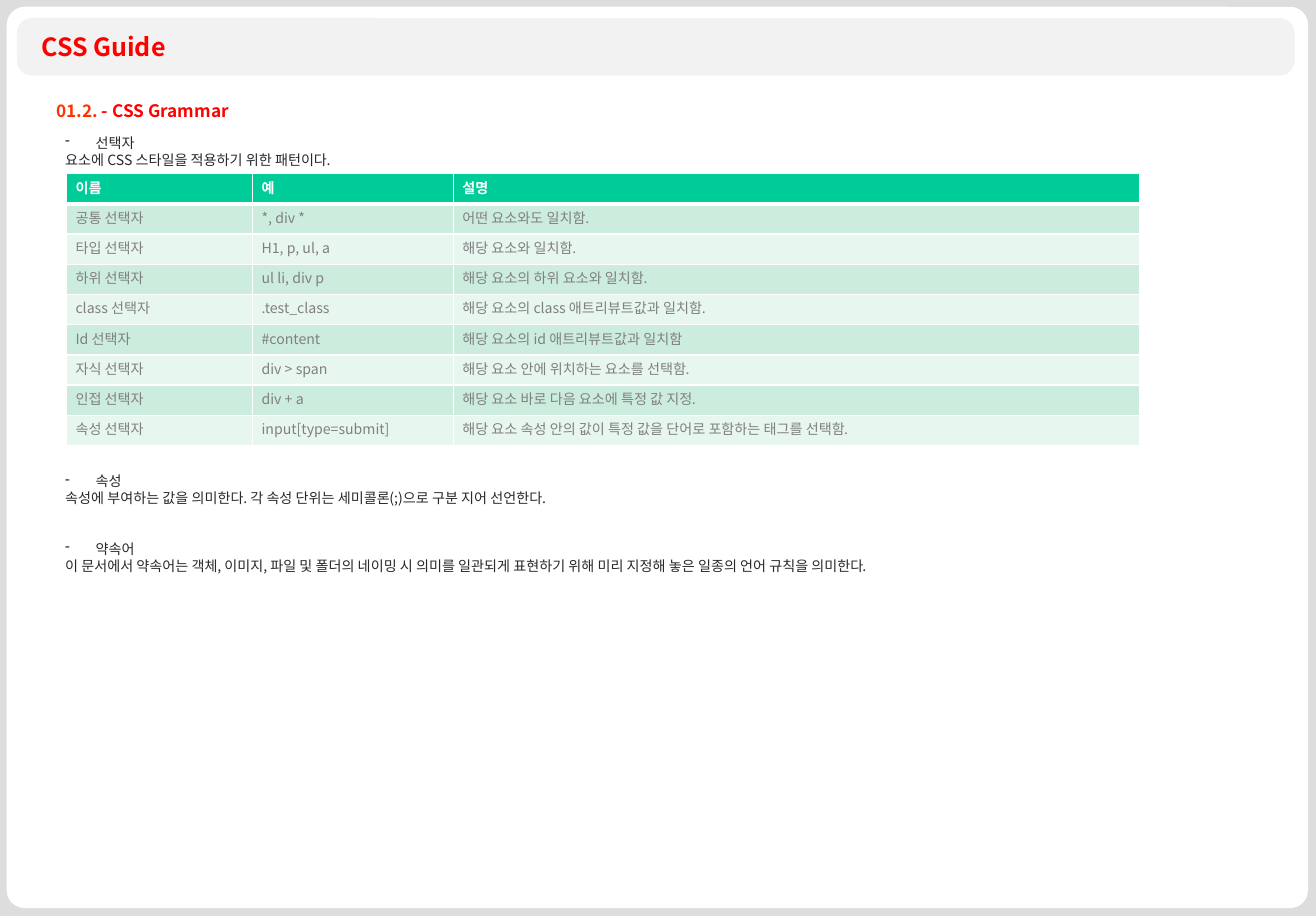
from pptx import Presentation
from pptx.dml.color import RGBColor
from pptx.enum.shapes import MSO_SHAPE
from pptx.enum.text import MSO_ANCHOR
from pptx.oxml.ns import qn
from pptx.util import Inches, Pt
from lxml import etree

RECT = MSO_SHAPE.RECTANGLE
ROUND = MSO_SHAPE.ROUNDED_RECTANGLE
MIDDLE = MSO_ANCHOR.MIDDLE

TITLE = "CSS Guide"
HEADING = ("01.2.", " - CSS Grammar")
NOTES = [
    ("선택자", "요소에 CSS 스타일을 적용하기 위한 패턴이다.", 0),
    ("속성", "속성에 부여하는 값을 의미한다. 각 속성 단위는 세미콜론(;)으로 구분 지어 선언한다.", 18),
    ("약속어", "이 문서에서 약속어는 객체, 이미지, 파일 및 폴더의 네이밍 시 의미를 일관되게 "
     "표현하기 위해 미리 지정해 놓은 일종의 언어 규칙을 의미한다.", 2),
]
ROWS = [
    ("이름", "예", "설명"),
    ("공통 선택자", "*, div *", "어떤 요소와도 일치함."),
    ("타입 선택자", "H1, p, ul, a", "해당 요소와 일치함."),
    ("하위 선택자", "ul li, div p", "해당 요소의 하위 요소와 일치함."),
    ("class 선택자", ".test_class", "해당 요소의 class 애트리뷰트값과 일치함."),
    ("Id 선택자", "#content", "해당 요소의 id 애트리뷰트값과 일치함"),
    ("자식 선택자", "div > span", "해당 요소 안에 위치하는 요소를 선택함."),
    ("인접 선택자", "div + a", "해당 요소 바로 다음 요소에 특정 값 지정."),
    ("속성 선택자", "input[type=submit]", "해당 요소 속성 안의 값이 특정 값을 단어로 포함하는 태그를 선택함."),
]
COLS = (1.65, 1.78, 6.09)
WIDE, HIGH = 11.67, 8.12
PANELS = [
    (RECT, (0, 0, WIDE, HIGH), "frame", None),
    (ROUND, (0.06, 0.06, 11.54, 7.99), "white", 0.02),
    (ROUND, (0.15, 0.16, 11.33, 0.51), "bar", 0.26),
]
THEME = {
    "font": "Noto Sans CJK KR", "title": 16, "head": 11, "body": 9, "lead": 1.2,
    "frame": "DDDDDD", "white": "FFFFFF", "bar": "F2F2F2", "ink": "292929",
    "red": "FF0000", "orange": "FF3300", "green": "00CC99",
    "bands": ("E7F6EF", "CCECDE"), "gray": "808080",
}


def color(name):
    return RGBColor.from_string(THEME.get(name, name))


def style(para, size, *tones, bold=False):
    para.line_spacing = Pt(THEME[size] * THEME["lead"])
    for run, tone in zip(para.runs, tones):
        font = run.font
        font.name, font.size, font.bold = THEME["font"], Pt(THEME[size]), bold
        font.color.rgb = color(tone)
        east = etree.SubElement(font._element, qn("a:ea"))
        east.set("typeface", THEME["font"])


def add_box(slide, place, wrap=False):
    frame = slide.shapes.add_textbox(*map(Inches, place)).text_frame
    frame.word_wrap = wrap
    return frame


def add_dash(para, indent):
    props = para._p.get_or_add_pPr()
    props.set("marL", str(indent))
    props.set("indent", str(-indent))
    etree.SubElement(props, qn("a:buChar")).set("char", "-")


def add_edges(cell, top, bottom):
    props = cell._tc.get_or_add_tcPr()
    for side, width in (("L", 1), ("R", 1), ("T", top), ("B", bottom)):
        line = etree.SubElement(props, qn("a:ln" + side), w=str(Pt(width)))
        fill = etree.SubElement(line, qn("a:solidFill"))
        etree.SubElement(fill, qn("a:srgbClr"), val=THEME["white"])


def add_panels(slide):
    for kind, place, tone, bend in PANELS:
        panel = slide.shapes.add_shape(kind, *map(Inches, place))
        panel.shadow.inherit = False
        panel.fill.solid()
        panel.fill.fore_color.rgb = color(tone)
        panel.line.fill.background()
        if bend:
            panel.adjustments[0] = bend


def add_notes(slide):
    frame = add_box(slide, (0.48, 1.14, 10.19, 4.19), True)
    para = frame.paragraphs[0]
    for label, words, gap in NOTES:
        if gap:
            para = frame.add_paragraph()
        para.text = label
        style(para, "body", "ink")
        para.space_before = Pt(gap * THEME["body"] * THEME["lead"])
        add_dash(para, Inches(0.27))
        para = frame.add_paragraph()
        para.text = words
        style(para, "body", "ink")


def add_heads(slide):
    para = add_box(slide, (0.27, 0.23, 1.31, 0.37)).paragraphs[0]
    para.text = TITLE
    style(para, "title", "red", bold=True)
    para = add_box(slide, (0.4, 0.84, 1.74, 0.29)).paragraphs[0]
    for part in HEADING:
        para.add_run().text = part
    style(para, "head", "orange", "red", bold=True)


def add_grid(slide):
    place = (0.59, 1.54, sum(COLS), 2.41)
    grid = slide.shapes.add_table(len(ROWS), len(COLS), *map(Inches, place)).table
    grid.horz_banding = False
    for col, width in zip(grid.columns, COLS):
        col.width = Inches(width)
    for r, row in enumerate(ROWS):
        head = r == 0
        for c, words in enumerate(row):
            cell = grid.cell(r, c)
            cell.text_frame.text = words
            style(cell.text_frame.paragraphs[0], "body", "white" if head else "gray", bold=head)
            cell.margin_left = cell.margin_right = Inches(0.08)
            cell.margin_top = cell.margin_bottom = Inches(0.04)
            cell.vertical_anchor = MIDDLE
            add_edges(cell, 3 if r == 1 else 1, 3 if head else 1)
            cell.fill.solid()
            cell.fill.fore_color.rgb = color("green" if head else THEME["bands"][r % 2])


def main():
    deck = Presentation()
    deck.slide_width, deck.slide_height = Inches(WIDE), Inches(HIGH)
    slide = deck.slides.add_slide(deck.slide_layouts[6])
    add_panels(slide)
    add_notes(slide)
    add_heads(slide)
    add_grid(slide)
    deck.save("out.pptx")


if __name__ == "__main__":
    main()
